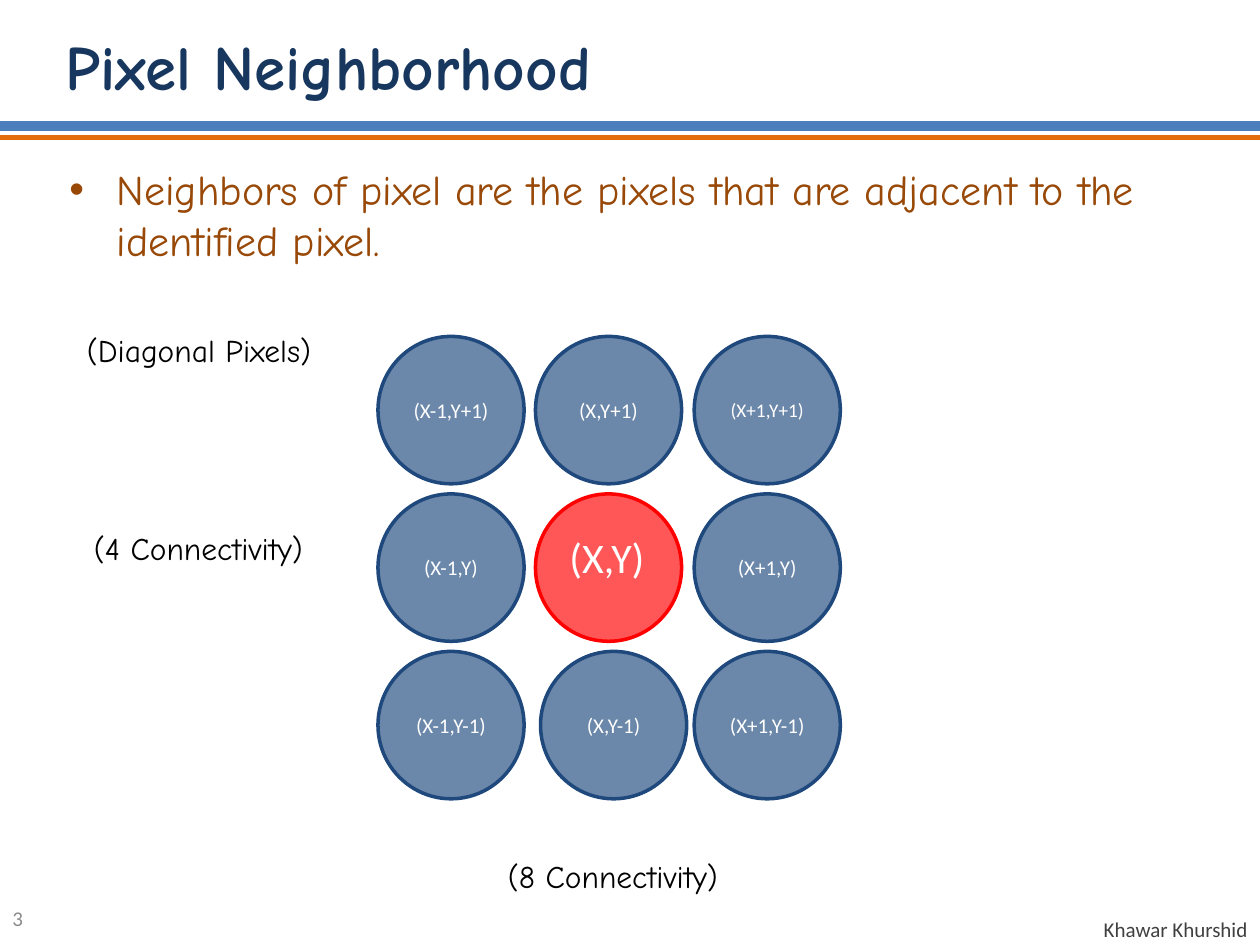
from lxml import etree
from pptx import Presentation
from pptx.dml.color import RGBColor
from pptx.enum.shapes import MSO_CONNECTOR, MSO_SHAPE
from pptx.enum.text import MSO_ANCHOR, MSO_AUTO_SIZE, PP_ALIGN
from pptx.oxml.ns import qn
from pptx.util import Inches, Pt

LEFT, MID, RIGHT = PP_ALIGN.LEFT, PP_ALIGN.CENTER, PP_ALIGN.RIGHT
TOP, CENTER = MSO_ANCHOR.TOP, MSO_ANCHOR.MIDDLE
OVAL, LINE = MSO_SHAPE.OVAL, MSO_CONNECTOR.STRAIGHT
FIXED = MSO_AUTO_SIZE.NONE

INK = {
    "title": "17375E", "body": "984807", "bullet": "C0504D",
    "blue": "4B7EBC", "orange": "E46C0A", "near": "1F497D",
    "core": "FF0000", "white": "FFFFFF", "black": "000000",
    "page": "8C8C8C", "author": "404040",
}
HAND, SANS = "Comic Neue", "Calibri"

TITLE = "Pixel Neighborhood"
BODY = "Neighbors of pixel are the pixels that are adjacent to the identified pixel."
GRID = [
    ["(X-1,Y+1)", "(X,Y+1)", "(X+1,Y+1)"],
    ["(X-1,Y)", "", "(X+1,Y)"],
    ["(X-1,Y-1)", "(X,Y-1)", "(X+1,Y-1)"],
]
COLS, ROWS = (3, 4.25, 5.51), (2.67, 3.92, 5.17)
WIDE, HIGH = 1.16, 1.17
NUDGE = {"(X,Y-1)": 0.04}
SMALL = {"(X+1,Y+1)": 11}
RULES = [(1, "blue", 6), (1.09, "orange", 3)]
NOTES = [
    ("(X,Y)", (4.42, 4.17, 0.81, 0.5), 24, SANS, "white", LEFT, TOP, False),
    ("(4 Connectivity)", (0.54, 4.15, 2.07, 0.4), 18, HAND, "black", MID, TOP, False),
    ("(Diagonal Pixels)", (0.52, 2.58, 2.12, 0.4), 18, HAND, "black", MID, TOP, False),
    ("(8 Connectivity)", (3.83, 6.75, 2.07, 0.4), 18, HAND, "black", MID, TOP, False),
    ("3", (0, 7.09, 2.33, 0.4), 12, SANS, "page", LEFT, CENTER, True),
    ("Khawar Khurshid", (7.33, 7.25, 2.67, 0.25), 12, SANS, "author", RIGHT, CENTER, True),
]


def color(name):
    return RGBColor.from_string(INK[name])


def place(shape, box):
    shape.left, shape.top, shape.width, shape.height = map(Inches, box)


def write(shape, text, size, face, ink, align=LEFT, anchor=TOP, wrap=True):
    frame = shape.text_frame
    frame.text = text
    frame.word_wrap = wrap
    frame.auto_size = FIXED
    frame.vertical_anchor = anchor
    para = frame.paragraphs[0]
    para.alignment = align
    para.space_before = Pt(0)
    font = para.font
    font.size, font.name = Pt(size), face
    font.color.rgb = color(ink)
    return para


def bullet(shape, mark, ink):
    props = shape.text_frame.paragraphs[0]._p.get_or_add_pPr()
    props.set("marL", str(Inches(0.38)))
    props.set("indent", str(-Inches(0.38)))
    tint = etree.SubElement(props, qn("a:buClr"))
    etree.SubElement(tint, qn("a:srgbClr"), val=INK[ink])
    etree.SubElement(props, qn("a:buChar"), char=mark)


def circle(slide, text, left, top, ink):
    shape = slide.shapes.add_shape(
        OVAL, Inches(left), Inches(top), Inches(WIDE), Inches(HIGH))
    shape.shadow.inherit = False
    shape.fill.solid()
    shape.fill.fore_color.rgb = color(ink)
    tint = shape.fill._xPr.find(qn("a:solidFill"))[0]
    etree.SubElement(tint, qn("a:alpha"), val="66000")
    shape.line.color.rgb = color(ink)
    shape.line.width = Pt(2)
    if text:
        write(shape, text, SMALL.get(text, 12), SANS, "white", MID, CENTER, False)


def main():
    deck = Presentation()
    deck.slide_width, deck.slide_height = Inches(10), Inches(7.5)
    slide = deck.slides.add_slide(deck.slide_layouts[1])

    title, body = slide.placeholders
    place(title, (0.42, 0.17, 8.08, 0.75))
    write(title, TITLE, 36, HAND, "title").font.bold = True
    place(body, (0.45, 1.25, 9.33, 1))
    bullet(body, "⬥", "bullet")
    write(body, BODY, 24, HAND, "body")

    for top, ink, width in RULES:
        rule = slide.shapes.add_connector(
            LINE, Inches(0), Inches(top), Inches(10), Inches(top))
        rule.line.color.rgb = color(ink)
        rule.line.width = Pt(width)
        etree.SubElement(rule._element.spPr, qn("a:effectLst"))

    for top, row in zip(ROWS, GRID):
        for left, text in zip(COLS, row):
            ink = "near" if text else "core"
            circle(slide, text, left + NUDGE.get(text, 0), top, ink)

    for text, box, *style in NOTES:
        write(slide.shapes.add_textbox(*map(Inches, box)), text, *style)

    deck.save("out.pptx")


if __name__ == "__main__":
    main()
